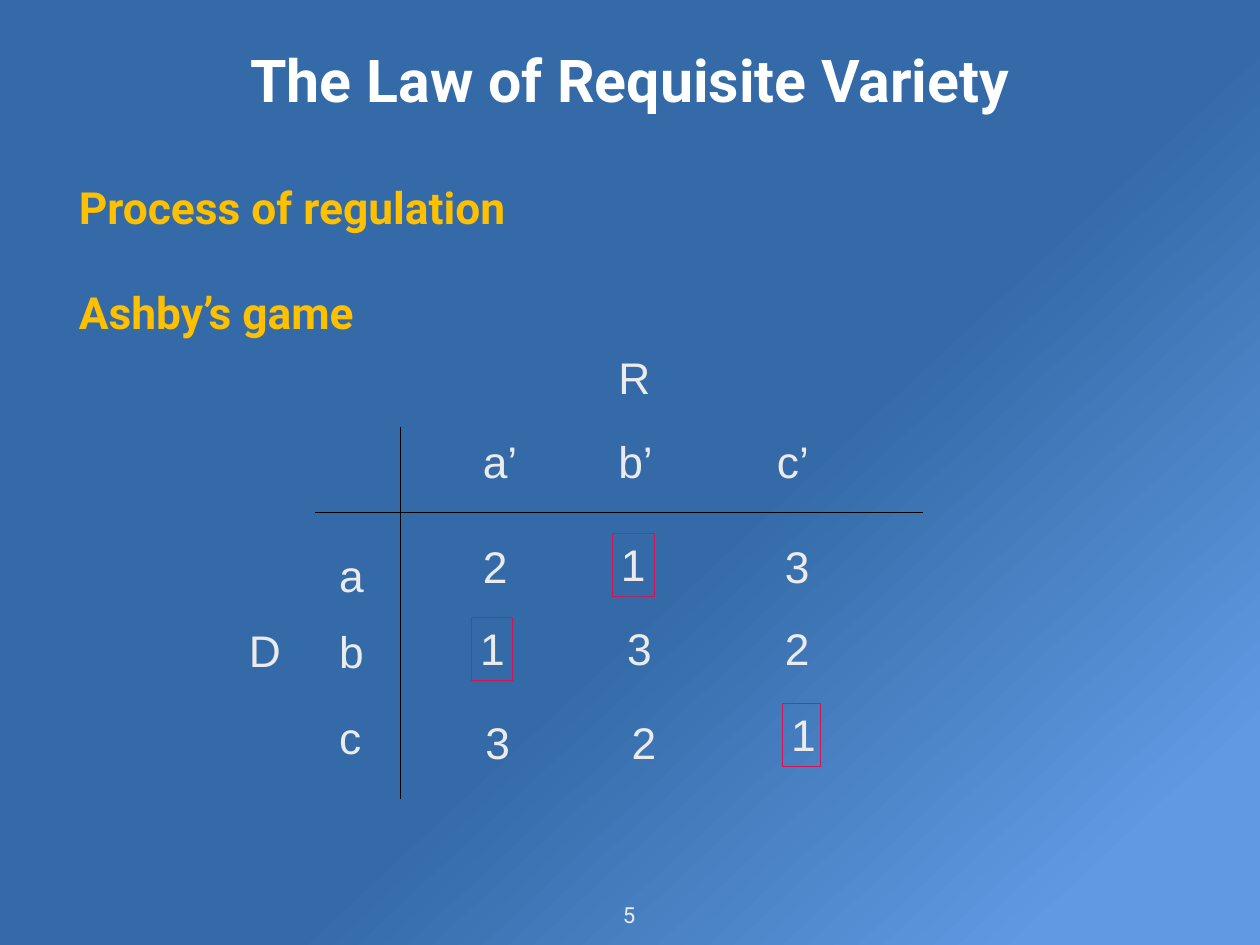
from lxml import etree
from pptx import Presentation
from pptx.dml.color import RGBColor
from pptx.enum.dml import MSO_FILL
from pptx.enum.shapes import MSO_CONNECTOR, MSO_SHAPE
from pptx.enum.text import MSO_ANCHOR, MSO_AUTO_SIZE, PP_ALIGN
from pptx.oxml.ns import qn
from pptx.util import Inches, Pt

STRAIGHT = MSO_CONNECTOR.STRAIGHT
RECTANGLE = MSO_SHAPE.RECTANGLE
MIDDLE = MSO_ANCHOR.MIDDLE
TOP = MSO_ANCHOR.TOP
FIT_TEXT = MSO_AUTO_SIZE.SHAPE_TO_FIT_TEXT
NO_RESIZE = MSO_AUTO_SIZE.NONE
CENTER, LEFT = PP_ALIGN.CENTER, PP_ALIGN.LEFT

WIDTH, HEIGHT = 14.22, 10.67
MARGIN = 0.83
CELL_HEIGHT = 0.71
PALE = "EBEBEB"


def color(hex_string):
    return RGBColor.from_string(hex_string)


def write(shape, lines, size, font, hex_string, bold=False, align=LEFT,
          anchor=TOP, inset=0.1, wrap=True, autosize=FIT_TEXT, before=0):
    """Fill a shape with one paragraph per line, all in one style."""
    frame = shape.text_frame
    frame.text = "\n".join(lines)
    frame.word_wrap = wrap
    frame.auto_size = autosize
    frame.vertical_anchor = anchor
    frame.margin_left = frame.margin_right = Inches(inset)
    frame.margin_top = frame.margin_bottom = Inches(min(inset, 0.05))
    for paragraph in frame.paragraphs:
        paragraph.alignment = align
        paragraph.space_before = Pt(before)
        paragraph.font.size = Pt(size)
        paragraph.font.name = font
        paragraph.font.bold = bold
        paragraph.font.color.rgb = color(hex_string)


prs = Presentation()
prs.slide_width, prs.slide_height = Inches(WIDTH), Inches(HEIGHT)
slide = prs.slides.add_slide(prs.slide_layouts[5])
shapes = slide.shapes

background = slide.background.fill
background.gradient()
background.gradient_angle = 360 - 47
for stop, (position, shade) in zip(background.gradient_stops,
                                   [(0.57, "336AA7"), (0.9, "619AE3")]):
    stop.position = position
    stop.color.rgb = color(shade)

# Title, topics and page number
title = shapes.title
title.left, title.top = Inches(MARGIN), Inches(0.14)
title.width, title.height = Inches(WIDTH - 2 * MARGIN), Inches(1.5)
write(title, ["The Law of Requisite Variety"], 48, "Roboto", "FFFFFF", bold=True,
      align=CENTER, anchor=MIDDLE, inset=0.06, autosize=NO_RESIZE)

topics = shapes.add_textbox(Inches(MARGIN), Inches(1.64),
                            Inches(WIDTH - 2 * MARGIN), Inches(2.57))
write(topics, ["Process of regulation", "Ashby’s game"], 36, "Roboto", "FFC000",
      bold=True, anchor=MIDDLE, inset=0.06, autosize=NO_RESIZE, before=42)

page_number = shapes.add_textbox(Inches(6.97), Inches(10.12), Inches(0.26), Inches(0.41))
write(page_number, ["5"], 18, "Roboto", PALE, align=CENTER, anchor=MIDDLE,
      inset=0.06, wrap=False)

# Axes of the game table
for x1, y1, x2, y2 in [(4.52, 4.82, 4.52, 9.02), (3.55, 5.79, 10.42, 5.79)]:
    axis = shapes.add_connector(STRAIGHT, Inches(x1), Inches(y1), Inches(x2), Inches(y2))
    axis.line.color.rgb = color("000000")
    axis.line.width = Pt(0.75)
    etree.SubElement(axis.element.spPr, qn("a:effectLst"))

# Players and their moves: text, left, top, width
labels = [
    ("R", 6.88, 3.9, 0.57), ("D", 2.71, 6.99, 0.57),
    ("a’", 5.35, 4.85, 0.59), ("b’", 6.88, 4.85, 0.59), ("c’", 8.67, 4.85, 0.57),
    ("a", 3.73, 6.14, 0.48), ("b", 3.73, 7.0, 0.48), ("c", 3.73, 7.97, 0.45),
]
for text, left, top, width in labels:
    label = shapes.add_textbox(Inches(left), Inches(top), Inches(width), Inches(CELL_HEIGHT))
    write(label, [text], 36, "Arial", PALE, wrap=False)

# Outcomes row by row; every outcome 1 is framed
outcomes = [
    ("2", 5.35, 6.04, 0.48), ("1", 6.91, 6.02, 0.48), ("3", 8.76, 6.04, 0.37),
    ("1", 5.32, 6.97, 0.46), ("3", 6.98, 6.97, 0.51), ("2", 8.76, 6.97, 0.53),
    ("3", 5.38, 8.03, 0.41), ("2", 7.03, 8.03, 0.4), ("1", 8.83, 7.94, 0.43),
]
for text, left, top, width in outcomes:
    box = Inches(left), Inches(top), Inches(width), Inches(CELL_HEIGHT)
    if text == "1":
        outcome = shapes.add_shape(RECTANGLE, *box)
        outcome.shadow.inherit = False
        outcome.fill.background()
        outcome.line.color.rgb = color("D41454")
        outcome.line.width = Pt(0.75)
    else:
        outcome = shapes.add_textbox(*box)
    write(outcome, [text], 36, "Arial", PALE)

prs.save("out.pptx")
